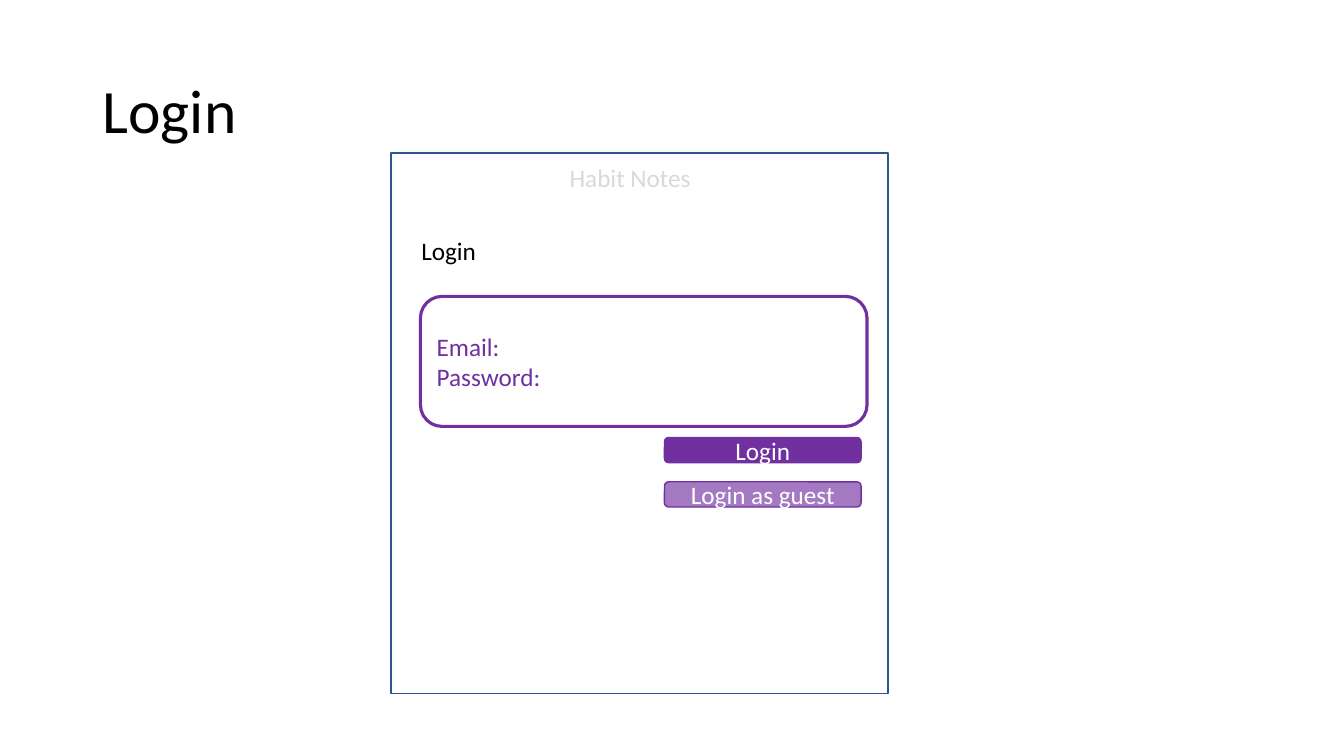
from dataclasses import dataclass
from typing import Optional

from lxml import etree
from pptx import Presentation
from pptx.dml.color import RGBColor
from pptx.enum.shapes import MSO_SHAPE
from pptx.enum.text import MSO_ANCHOR, PP_ALIGN
from pptx.oxml.ns import qn
from pptx.util import Inches, Pt

RECTANGLE = MSO_SHAPE.RECTANGLE
ROUNDED = MSO_SHAPE.ROUNDED_RECTANGLE
TOP, MIDDLE = MSO_ANCHOR.TOP, MSO_ANCHOR.MIDDLE
LEFT, CENTER = PP_ALIGN.LEFT, PP_ALIGN.CENTER

FONT = "Calibri"
COLORS = {
    "black": "000000",
    "white": "FFFFFF",
    "gray": "D9D9D9",
    "purple": "7030A0",
    "frame": "325491",
}


@dataclass
class Box:
    left: float
    top: float
    width: float
    height: float


@dataclass
class Label:
    box: Box
    text: str
    color: str
    size: float = 18
    anchor: MSO_ANCHOR = TOP
    line_spacing: float = 1.0


@dataclass
class Panel:
    box: Box
    line: str
    kind: MSO_SHAPE = ROUNDED
    fill: Optional[str] = None
    opacity: int = 100
    line_width: float = 1
    lines: tuple[str, ...] = ()
    text_color: str = "white"
    alignment: PP_ALIGN = CENTER


def color(name: str) -> RGBColor:
    return RGBColor.from_string(COLORS[name])


def position(box: Box) -> tuple:
    return tuple(Inches(value) for value in (box.left, box.top, box.width, box.height))


def add_run(paragraph, text: str, color_name: str, size: float = 18) -> None:
    run = paragraph.add_run()
    run.text = text
    run.font.name = FONT
    run.font.size = Pt(size)
    run.font.color.rgb = color(color_name)


def draw_label(slide, label: Label) -> None:
    text_frame = slide.shapes.add_textbox(*position(label.box)).text_frame
    text_frame.word_wrap = True
    text_frame.vertical_anchor = label.anchor
    paragraph = text_frame.paragraphs[0]
    paragraph.alignment = LEFT
    paragraph.line_spacing = label.line_spacing
    add_run(paragraph, label.text, label.color, label.size)


def draw_panel(slide, panel: Panel) -> None:
    shape = slide.shapes.add_shape(panel.kind, *position(panel.box))
    shape.shadow.inherit = False
    shape.line.color.rgb = color(panel.line)
    shape.line.width = Pt(panel.line_width)
    if panel.fill is None:
        shape.fill.background()
    else:
        shape.fill.solid()
        shape.fill.fore_color.rgb = color(panel.fill)
    if panel.opacity < 100:
        fill_color = shape.element.spPr.find(qn("a:solidFill"))[0]
        etree.SubElement(fill_color, qn("a:alpha"), val=str(panel.opacity * 1000))

    text_frame = shape.text_frame
    text_frame.word_wrap = True
    text_frame.vertical_anchor = MIDDLE
    for index, text in enumerate(panel.lines):
        paragraph = text_frame.add_paragraph() if index else text_frame.paragraphs[0]
        paragraph.alignment = panel.alignment
        add_run(paragraph, text, panel.text_color)


LABELS = [
    Label(Box(0.92, 0.4, 11.5, 1.45), "Login", "black", 44, MIDDLE, 0.9),
    Label(Box(5.55, 1.56, 1.58, 0.42), "Habit Notes", "gray"),
    Label(Box(4.08, 2.29, 2.52, 0.4), "Login", "black"),
]

SCREEN = Panel(Box(3.88, 1.52, 4.93, 5.36), "frame", kind=RECTANGLE)
FORM = Panel(Box(4.17, 2.94, 4.43, 1.29), "purple", fill="white", line_width=2.25,
             lines=("Email:", "Password:"), text_color="purple", alignment=LEFT)

# Buttons: caption and fill opacity, stacked at an equal step
BUTTONS = [("Login", 100), ("Login as guest", 64)]
BUTTON_TOP, BUTTON_STEP = 4.34, 0.44


def main() -> None:
    presentation = Presentation()
    presentation.slide_width = Inches(13.33)
    presentation.slide_height = Inches(7.5)
    slide = presentation.slides.add_slide(presentation.slide_layouts[6])

    # App screen frame, then title and headings
    draw_panel(slide, SCREEN)
    for label in LABELS:
        draw_label(slide, label)

    # Login form and its buttons
    draw_panel(slide, FORM)
    for index, (caption, opacity) in enumerate(BUTTONS):
        box = Box(6.59, BUTTON_TOP + index * BUTTON_STEP, 1.95, 0.25)
        draw_panel(slide, Panel(box, "purple", fill="purple", opacity=opacity,
                                lines=(caption,)))

    presentation.save("out.pptx")


if __name__ == "__main__":
    main()
